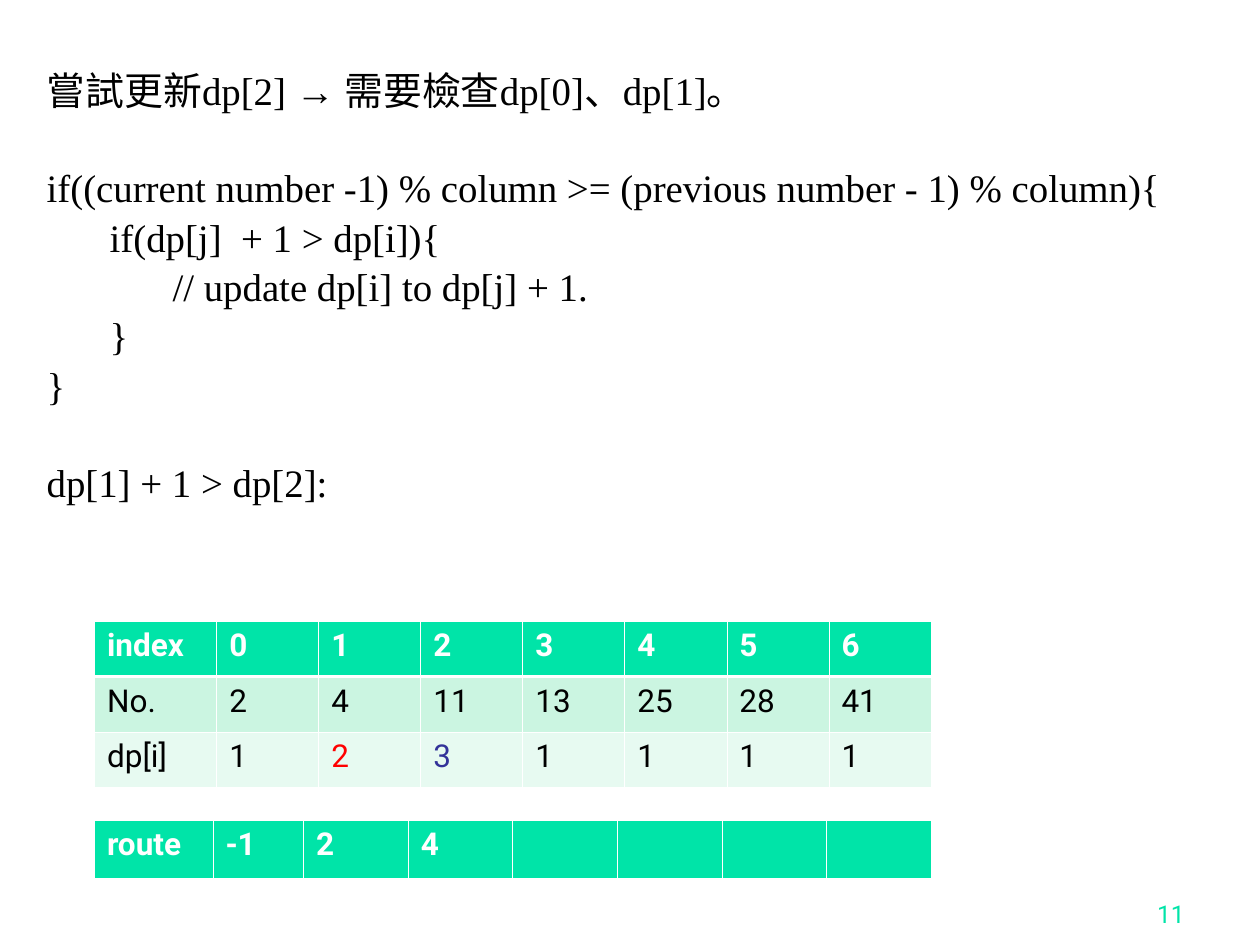
from lxml.etree import SubElement
from pptx import Presentation
from pptx.dml.color import RGBColor
from pptx.enum.text import MSO_ANCHOR, MSO_AUTO_SIZE, PP_ALIGN
from pptx.oxml.ns import qn
from pptx.util import Inches, Pt

COLORS = {
    "accent": "00E4A8",
    "band_dark": "CBF5E1",
    "band_light": "E7FAF1",
    "white": "FFFFFF",
    "black": "000000",
    "red": "FF0000",
    "blue": "333399",
}


def write_text(paragraph, text, *, font="Roboto", size=18, color="black",
               bold=False, align=PP_ALIGN.LEFT):
    """Put formatted text into a paragraph."""
    paragraph.alignment = align
    paragraph.font.size = Pt(size)
    if not text:
        return
    run = paragraph.add_run()
    run.text = text
    run.font.name = font
    run.font.size = Pt(size)
    run.font.bold = bold
    run.font.color.rgb = RGBColor.from_string(COLORS[color])


class SlideBuilder:
    body_font = "Times New Roman"
    body_size = 22.2
    line_gap = 6.9
    section_gap = 34.2

    def __init__(self, slide):
        self.slide = slide

    def body(self, sections, left, top, width, height):
        """Fill the body placeholder; sections are set apart by a wider gap."""
        body = self.slide.placeholders[1]
        body.left, body.top = Inches(left), Inches(top)
        body.width, body.height = Inches(width), Inches(height)
        frame = body.text_frame
        frame.word_wrap = True
        frame.auto_size = MSO_AUTO_SIZE.NONE
        frame.vertical_anchor = MSO_ANCHOR.TOP
        paragraph = frame.paragraphs[0]
        for section_index, lines in enumerate(sections):
            for line_index, line in enumerate(lines):
                gap = self.line_gap if line_index else self.section_gap
                if section_index == line_index == 0:
                    gap = 0
                else:
                    paragraph = frame.add_paragraph()
                self.plain_paragraph(paragraph)
                paragraph.line_spacing = 0.8
                paragraph.space_before = Pt(gap)
                write_text(paragraph, line, font=self.body_font,
                           size=self.body_size)

    def plain_paragraph(self, paragraph):
        """Remove the bullet and indent, and set a tab stop at each inch."""
        properties = paragraph._p.get_or_add_pPr()
        properties.set("marL", "0")
        properties.set("indent", "0")
        SubElement(properties, qn("a:buNone"))
        tab_list = SubElement(properties, qn("a:tabLst"))
        for inch in range(8):
            SubElement(tab_list, qn("a:tab"), pos=str(Inches(inch)), algn="l")

    def table(self, rows, left, top, column_widths, row_height, highlights=None):
        """Add a table with a header row and banded rows below it."""
        highlights = highlights or {}
        table = self.slide.shapes.add_table(
            len(rows), len(column_widths), Inches(left), Inches(top),
            Inches(sum(column_widths)), Inches(row_height * len(rows))).table
        for column, width in zip(table.columns, column_widths):
            column.width = Inches(width)
        fills = ["accent", "band_dark", "band_light"]
        for row_index, values in enumerate(rows):
            table.rows[row_index].height = Inches(row_height)
            header = row_index == 0
            for column_index, value in enumerate(values):
                cell = table.cell(row_index, column_index)
                color = highlights.get((row_index, column_index),
                                       "white" if header else "black")
                write_text(cell.text_frame.paragraphs[0], value,
                           color=color, bold=header)
                self.cell_borders(cell, row_index)
                cell.fill.solid()
                cell.fill.fore_color.rgb = RGBColor.from_string(
                    COLORS[fills[row_index]])

    def cell_borders(self, cell, row_index):
        """Draw thin white borders, thicker under the header row."""
        properties = cell._tc.get_or_add_tcPr()
        thick_side = {0: "B", 1: "T"}.get(row_index)
        for side in "LRTB":
            width = 1.47 if side == thick_side else 0.45
            line = SubElement(properties, qn(f"a:ln{side}"), w=str(Pt(width)))
            fill = SubElement(line, qn("a:solidFill"))
            SubElement(fill, qn("a:srgbClr"), val=COLORS["white"])

    def page_number(self, text, left, top, width, height):
        box = self.slide.shapes.add_textbox(
            Inches(left), Inches(top), Inches(width), Inches(height))
        box.text_frame.word_wrap = True
        box.text_frame.vertical_anchor = MSO_ANCHOR.BOTTOM
        write_text(box.text_frame.paragraphs[0], text, size=14,
                   color="accent", align=PP_ALIGN.RIGHT)


def main():
    presentation = Presentation()
    presentation.slide_width = Inches(10)
    presentation.slide_height = Inches(7.5)
    slide = presentation.slides.add_slide(presentation.slide_layouts[1])
    title = slide.shapes.title
    title.element.getparent().remove(title.element)
    builder = SlideBuilder(slide)

    # Update rule
    builder.body([
        ["嘗試更新dp[2] → 需要檢查dp[0]、dp[1]。"],
        ["if((current number -1) % column >= (previous number - 1) % column){",
         "\tif(dp[j]  + 1 > dp[i]){",
         "\t\t// update dp[i] to dp[j] + 1.",
         "\t}",
         "}"],
        ["dp[1] + 1 > dp[2]:"],
    ], 0.27, 0.55, 9.61, 3.91)

    # State of the dp array
    builder.table([
        ["index", "0", "1", "2", "3", "4", "5", "6"],
        ["No.", "2", "4", "11", "13", "25", "28", "41"],
        ["dp[i]", "1", "2", "3", "1", "1", "1", "1"],
    ], 0.75, 4.93, [0.97] + [0.81] * 7, 0.44,
        highlights={(2, 2): "red", (2, 3): "blue"})

    # Route found so far
    builder.table([["route", "-1", "2", "4", "", "", "", ""]],
                  0.75, 6.51, [0.94, 0.72] + [0.83] * 6, 0.47)

    # Page number
    builder.page_number("11", 7.42, 6.92, 2.08, 0.5)

    presentation.save("out.pptx")


if __name__ == "__main__":
    main()
